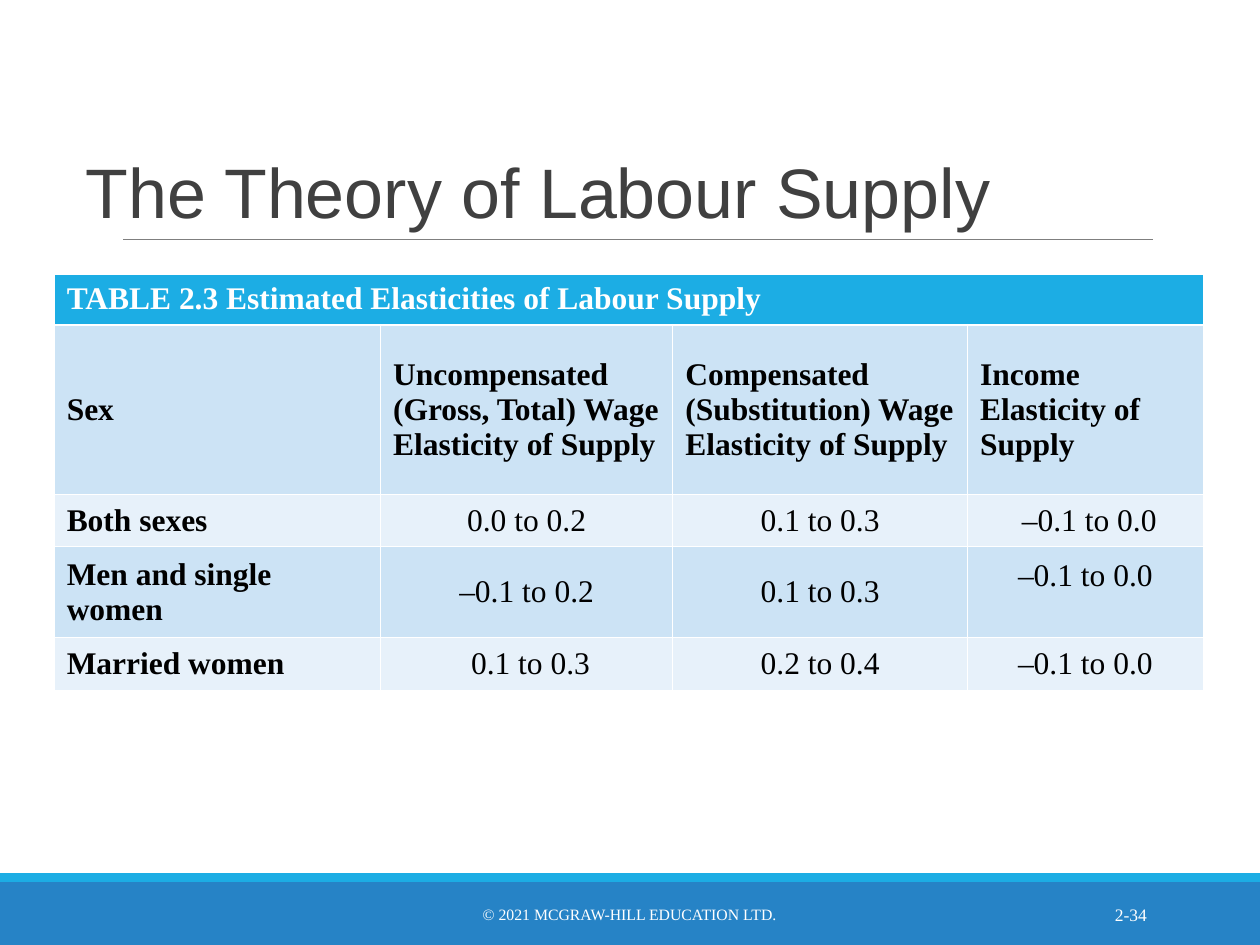
from lxml.etree import SubElement
from pptx import Presentation
from pptx.dml.color import RGBColor
from pptx.enum.shapes import MSO_CONNECTOR, MSO_SHAPE
from pptx.enum.text import MSO_ANCHOR, PP_ALIGN
from pptx.oxml.ns import qn
from pptx.util import Inches, Pt

WHITE = RGBColor(0xFF, 0xFF, 0xFF)
BLACK = RGBColor(0x00, 0x00, 0x00)
DARK = RGBColor(0x40, 0x40, 0x40)
GRAY = RGBColor(0x7F, 0x7F, 0x7F)
BLUE = RGBColor(0x26, 0x83, 0xC6)
CYAN = RGBColor(0x1C, 0xAD, 0xE4)
PALE = RGBColor(0xCC, 0xE3, 0xF5)
LIGHT = RGBColor(0xE7, 0xF1, 0xFA)


def write(frame, text, size=18, color=BLACK, bold=False, font="Times New Roman",
          align=PP_ALIGN.LEFT, anchor=MSO_ANCHOR.MIDDLE, spacing=1.0):
    frame.word_wrap = True
    frame.vertical_anchor = anchor
    frame.text = text
    for line in frame.paragraphs:
        line.alignment = align
        line.line_spacing = spacing
        for run in line.runs:
            run.font.name = font
            run.font.size = Pt(size)
            run.font.bold = bold
            run.font.color.rgb = color


def edge(cell, side, width):
    line = SubElement(cell._tc.get_or_add_tcPr(), qn(f"a:ln{side}"), w=str(Pt(width)))
    fill = SubElement(line, qn("a:solidFill"))
    SubElement(fill, qn("a:srgbClr"), val=str(WHITE))


deck = Presentation()
deck.slide_width = Inches(10)
deck.slide_height = Inches(7.5)
slide = deck.slides.add_slide(deck.slide_layouts[5])
shapes = slide.shapes

for top, height, color in [(7, 0.5, BLUE), (6.93, 0.07, CYAN)]:
    band = shapes.add_shape(MSO_SHAPE.RECTANGLE, 0, Inches(top), Inches(10), Inches(height))
    band.shadow.inherit = False
    band.fill.solid()
    band.fill.fore_color.rgb = color
    band.line.fill.background()

rule = shapes.add_connector(MSO_CONNECTOR.STRAIGHT, Inches(0.98), Inches(1.9),
                            Inches(9.15), Inches(1.9))
rule.line.color.rgb = GRAY
rule.line.width = Pt(0.5)
SubElement(rule._element.spPr, qn("a:effectLst"))

title = shapes.title
title.left, title.top = Inches(0.58), Inches(0.6)
title.width, title.height = Inches(8.98), Inches(1.3)
write(title.text_frame, "The Theory of Labour Supply", size=40, color=DARK,
      font="Arial", anchor=MSO_ANCHOR.BOTTOM, spacing=0.85)

rows = [
    ["TABLE 2.3 Estimated Elasticities of Labour Supply", "", "", ""],
    ["Sex",
     "Uncompensated \v(Gross, Total) Wage\nElasticity of Supply",
     "Compensated \v(Substitution) Wage\nElasticity of Supply",
     "Income Elasticity of Supply"],
    ["Both sexes", "0.0 to 0.2", "0.1 to 0.3", " –0.1 to 0.0"],
    ["Men and single women", "–0.1 to 0.2", "0.1 to 0.3", "–0.1 to 0.0"],
    ["Married women", " 0.1 to 0.3", "0.2 to 0.4", "–0.1 to 0.0"],
]
widths = [2.59, 2.32, 2.34, 1.87]
heights = [0.4, 1.34, 0.42, 0.72, 0.42]
fills = [CYAN, PALE, LIGHT, PALE, LIGHT]

table = shapes.add_table(len(rows), len(widths), Inches(0.43), Inches(2.18),
                         Inches(sum(widths)), Inches(sum(heights))).table
for column, width in zip(table.columns, widths):
    column.width = Inches(width)
for row, height in zip(table.rows, heights):
    row.height = Inches(height)
table.cell(0, 0).merge(table.cell(0, 3))

for r, row in enumerate(rows):
    for c, text in enumerate(row):
        cell = table.cell(r, c)
        edge(cell, "L", 0.45)
        edge(cell, "R", 0.45)
        edge(cell, "T", 1.47 if r == 1 else 0.45)
        edge(cell, "B", 1.47 if r == 0 else 0.45)
        cell.fill.solid()
        cell.fill.fore_color.rgb = fills[r]
        value = r > 1 and c > 0
        write(cell.text_frame, text, color=BLACK if r else WHITE, bold=not value,
              align=PP_ALIGN.CENTER if value else PP_ALIGN.LEFT)
        cell.vertical_anchor = MSO_ANCHOR.MIDDLE if r else MSO_ANCHOR.TOP

raised = table.cell(3, 3)
raised.vertical_anchor = MSO_ANCHOR.TOP
raised.margin_top = Inches(0.09)

for text, left, width, size, align in [
    ("© 2021 MCGRAW-HILL EDUCATION LTD.", 3.02, 3.95, 9, PP_ALIGN.CENTER),
    ("2-34", 8.12, 1.08, 10, PP_ALIGN.RIGHT),
]:
    box = shapes.add_textbox(Inches(left), Inches(7.06), Inches(width), Inches(0.4))
    write(box.text_frame, text, size=size, color=WHITE, align=align)

deck.save("out.pptx")
